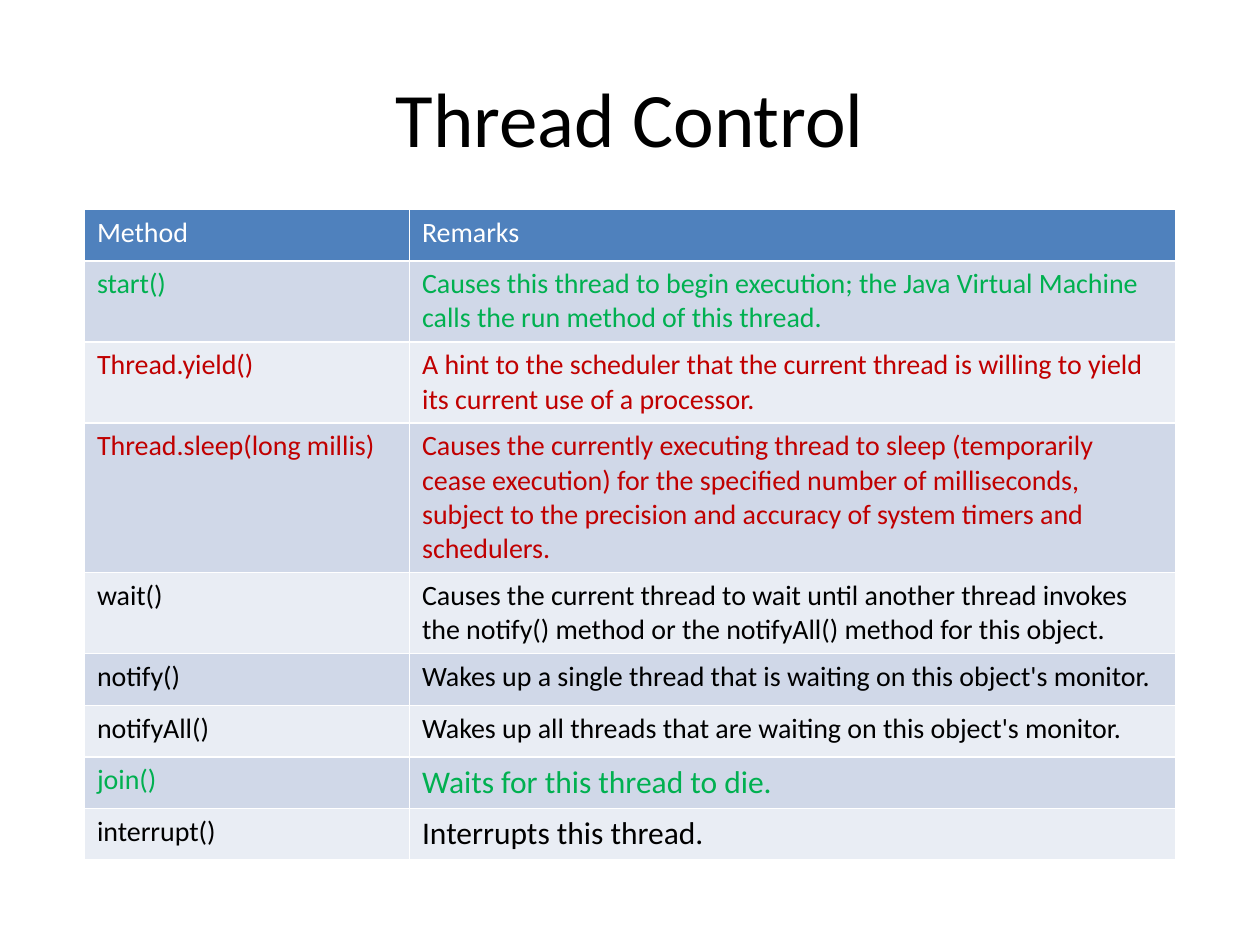
"""Build the Thread Control slide with its table of thread methods."""
from dataclasses import dataclass

import pptx
import pptx.dml.color
import pptx.enum.text
import pptx.util
from pptx.util import Inches

FONT = "Calibri"
BLACK, WHITE, GREEN, RED = "000000", "FFFFFF", "00B050", "C00000"
HEADER_FILL, BAND_FILLS = "4F81BD", ("D0D8E8", "E9EDF4")
COLUMN_WIDTHS = (2.58, 6.08)
ROW_HEIGHT = 0.41


@dataclass
class Row:
    method: str
    remarks: str
    color: str = BLACK
    remarks_size: int = 16


ROWS = [
    Row("Method", "Remarks", WHITE),
    Row("start()", "Causes this thread to begin execution; the Java Virtual Machine "
        "calls the run method of this thread.", GREEN),
    Row("Thread.yield()", "A hint to the scheduler that the current thread is willing "
        "to yield its current use of a processor.", RED),
    Row("Thread.sleep(long millis)", "Causes the currently executing thread to sleep "
        "(temporarily cease execution) for the specified number of milliseconds, "
        "subject to the precision and accuracy of system timers and schedulers.", RED),
    Row("wait()", "Causes the current thread to wait until another thread invokes "
        "the notify() method or the notifyAll() method for this object."),
    Row("notify()", "Wakes up a single thread that is waiting on this object's monitor."),
    Row("notifyAll()", "Wakes up all threads that are waiting on this object's monitor."),
    Row("join()", "Waits for this thread to die.", GREEN, 18),
    Row("interrupt()", "Interrupts this thread.", remarks_size=18),
]


def rgb(value: str) -> pptx.dml.color.RGBColor:
    return pptx.dml.color.RGBColor.from_string(value)


def write(tf, text: str, size: int, color: str) -> None:
    tf.text = text
    for r in tf.paragraphs[0].runs:
        r.font.name = FONT
        r.font.size = pptx.util.Pt(size)
        r.font.bold = False
        r.font.color.rgb = rgb(color)


def add_title(s, text: str) -> None:
    sp = s.shapes.title
    sp.left, sp.top, sp.width, sp.height = map(Inches, (0.5, 0.3, 9, 1.25))
    write(sp.text_frame, text, 44, BLACK)
    sp.text_frame.vertical_anchor = pptx.enum.text.MSO_ANCHOR.MIDDLE
    sp.text_frame.paragraphs[0].alignment = pptx.enum.text.PP_ALIGN.CENTER


def add_method_table(s, rows: list[Row]) -> None:
    table = s.shapes.add_table(
        len(rows), len(COLUMN_WIDTHS), Inches(0.67), Inches(1.66),
        Inches(sum(COLUMN_WIDTHS)), Inches(ROW_HEIGHT * len(rows))).table
    for column, width in zip(table.columns, COLUMN_WIDTHS):
        column.width = Inches(width)
    for i, row in enumerate(rows):
        table.rows[i].height = Inches(ROW_HEIGHT)
        fill = BAND_FILLS[(i - 1) % 2] if i else HEADER_FILL
        texts = ((row.method, 16), (row.remarks, row.remarks_size))
        for cell, (text, size) in zip(table.rows[i].cells, texts):
            cell.fill.solid()
            cell.fill.fore_color.rgb = rgb(fill)
            write(cell.text_frame, text, size, row.color)


def main() -> None:
    prs = pptx.Presentation()
    prs.slide_width, prs.slide_height = Inches(10), Inches(7.5)
    s = prs.slides.add_slide(prs.slide_layouts[5])
    add_title(s, "Thread Control")
    add_method_table(s, ROWS)
    prs.save("out.pptx")


if __name__ == "__main__":
    main()
